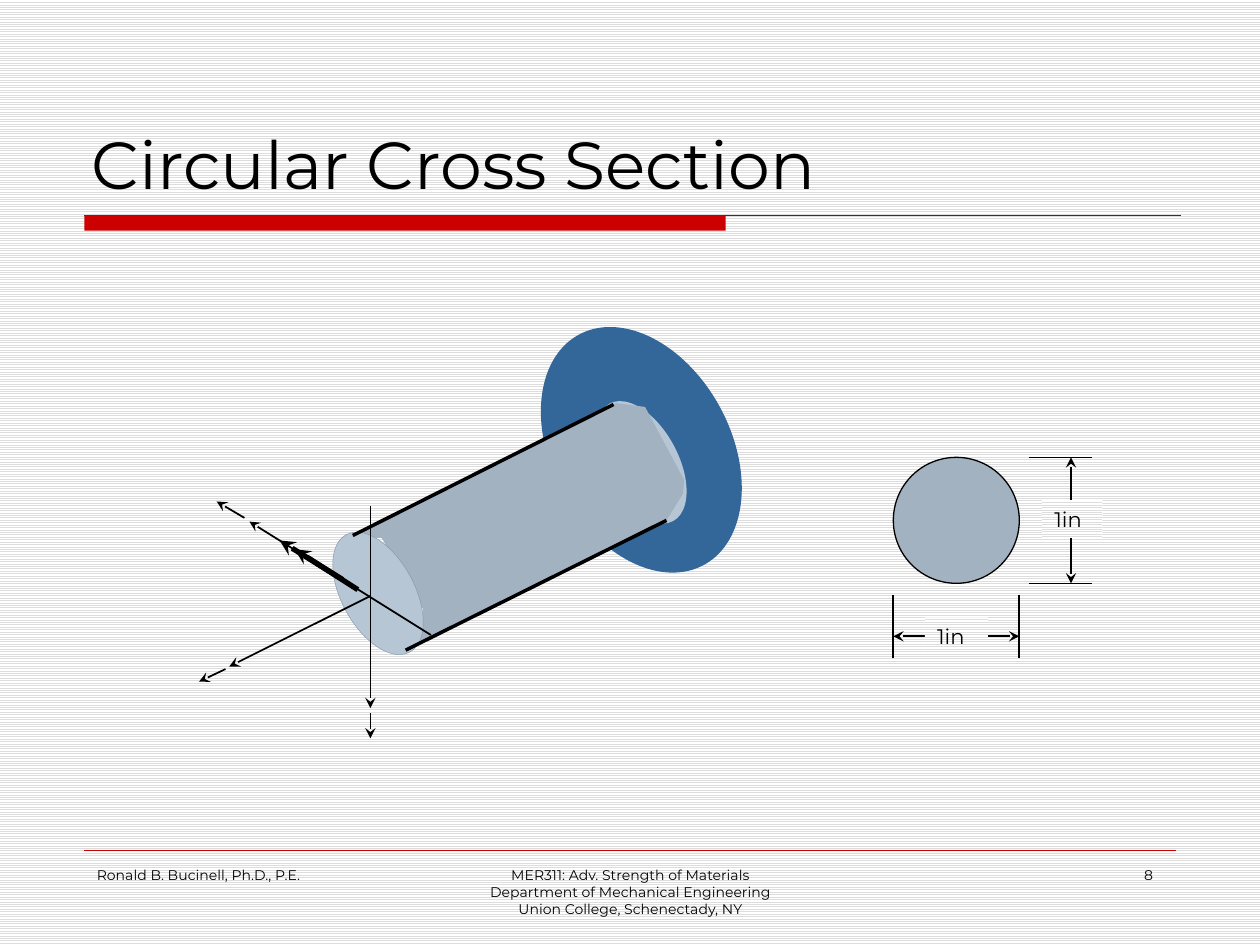
from lxml import etree
from pptx import Presentation
from pptx import util as u
from pptx.dml.color import RGBColor
from pptx.enum import dml, shapes, text
from pptx.oxml import ns

COLUMNS, ROWS = 100, 75
BLACK, RED, BLUE = "000000", "CC0000", "336699"
STEEL, LIGHT_STEEL, EDGE = "A3B2C1", "B7C6D5", "8296AA"
PAPER, STRIPE, RULE = "FFFFFF", "DDDDDD", "333333"


def color(value):
    return RGBColor.from_string(value)


class Drawing:
    """Style and current slide, measured in a grid of columns and rows."""

    font = "Montserrat"

    def __init__(self, presentation):
        self.column = presentation.slide_width / COLUMNS
        self.row = presentation.slide_height / ROWS
        self.slide = presentation.slides.add_slide(presentation.slide_layouts[6])
        self.stripe(self.slide.background.fill)

    def place(self, x, y):
        return u.Emu(round(x * self.column)), u.Emu(round(y * self.row))

    def stripe(self, fill):
        fill.patterned()
        fill.pattern = dml.MSO_PATTERN.LIGHT_HORIZONTAL
        fill.fore_color.rgb = color(STRIPE)
        fill.back_color.rgb = color(PAPER)

    def paint(self, shape, fill, line, width):
        shape.shadow.inherit = False
        if fill:
            shape.fill.solid()
            shape.fill.fore_color.rgb = color(fill)
        else:
            self.stripe(shape.fill)
        if line:
            shape.line.color.rgb = color(line)
            shape.line.width = u.Pt(width)
        else:
            shape.line.fill.background()

    def shape(self, kind, box, fill=None, line=None, width=0.75, rotation=0):
        shape = self.slide.shapes.add_shape(
            kind, *self.place(*box[:2]), *self.place(*box[2:]))
        shape.rotation = rotation
        self.paint(shape, fill, line, width)
        return shape

    def ellipse(self, center, size, fill, line=None, width=0.75, rotation=0):
        box = (center[0] - size[0] / 2, center[1] - size[1] / 2, *size)
        self.shape(shapes.MSO_SHAPE.OVAL, box, fill, line, width, rotation)

    def outline(self, points, fill):
        start, *others = [self.place(*point) for point in points]
        builder = self.slide.shapes.build_freeform(*start)
        builder.add_line_segments(others, close=True)
        self.paint(builder.convert_to_shape(), fill, None, 0)

    def line(self, start, end, width=1, stroke=BLACK, arrows=()):
        connector = self.slide.shapes.add_connector(
            shapes.MSO_CONNECTOR.STRAIGHT, *self.place(*start), *self.place(*end))
        connector.line.color.rgb = color(stroke)
        connector.line.width = u.Pt(width)
        properties = connector._element.spPr
        for end_name in arrows:
            etree.SubElement(properties.find(ns.qn("a:ln")),
                             ns.qn(f"a:{end_name}"), type="stealth")
        etree.SubElement(properties, ns.qn("a:effectLst"))

    def add_words(self, shape, lines, size, align, anchor, wrap=True):
        frame = shape.text_frame
        frame.word_wrap = wrap
        frame.vertical_anchor = anchor
        for index, words in enumerate(lines):
            paragraph = frame.add_paragraph() if index else frame.paragraphs[0]
            paragraph.alignment = align
            run = paragraph.add_run()
            run.text = words
            run.font.name = self.font
            run.font.size = u.Pt(size)
            run.font.color.rgb = color(BLACK)

    def text(self, box, lines, size, align=text.PP_ALIGN.LEFT,
             anchor=text.MSO_ANCHOR.TOP):
        shape = self.slide.shapes.add_textbox(
            *self.place(*box[:2]), *self.place(*box[2:]))
        self.add_words(shape, lines, size, align, anchor)

    def label(self, box, words, wrap):
        shape = self.shape(shapes.MSO_SHAPE.RECTANGLE, box)
        self.add_words(shape, [words], 12, text.PP_ALIGN.LEFT,
                       text.MSO_ANCHOR.TOP, wrap)


def draw_frame(drawing):
    drawing.line((6.7, 17.1), (93.7, 17.1), 0.75, RULE)
    drawing.shape(shapes.MSO_SHAPE.RECTANGLE, (6.7, 17.1, 50.9, 1.2), RED)
    drawing.line((6.7, 67.5), (93.3, 67.5), 0.25, RED)
    drawing.text((6.3, 3.3, 87.5, 13.3), ["Circular Cross Section"], 38,
                 anchor=text.MSO_ANCHOR.BOTTOM)
    footers = [
        (6.7, 20.8, text.PP_ALIGN.LEFT, ["Ronald B. Bucinell, Ph.D., P.E."]),
        (34.2, 31.7, text.PP_ALIGN.CENTER,
         ["MER311: Adv. Strength of Materials",
          "Department of Mechanical Engineering",
          "Union College, Schenectady, NY"]),
        (71.7, 20.8, text.PP_ALIGN.RIGHT, ["8"]),
    ]
    for left, width, align, lines in footers:
        drawing.text((left, 68.3, width, 5), lines, 8, align)


def draw_shaft(drawing):
    tilt, cap = 61.5, (10.6, 5.8)
    drawing.ellipse((50.9, 35.7), (20.8, 14.2), BLUE, rotation=tilt)
    drawing.ellipse((50.9, 36.7), cap, LIGHT_STEEL, rotation=tilt)
    drawing.outline(
        [(27.9, 42.6), (48.9, 32), (51.2, 32.3), (54.3, 38.1), (54.2, 39.2),
         (52.9, 41.3), (32.7, 51.4), (33.5, 49.5), (33.6, 48.4), (30.3, 42.7)],
        STEEL)
    drawing.ellipse((30, 47.1), cap, LIGHT_STEEL, EDGE, 0.25, tilt)
    for start, end in [((32.2, 51.6), (52.9, 41.3)), ((28, 42.5), (48.7, 32.1))]:
        drawing.line(start, end, 2)


def draw_axes(drawing):
    arrows = [
        ((29.4, 40.2), (29.4, 56.2), 1), ((29.4, 56.6), (29.4, 58.6), 1),
        ((34.2, 50.4), (19.8, 41.4), 1), ((19.4, 41.1), (17.2, 39.8), 1),
        ((29.4, 47.3), (18.2, 52.9), 1), ((17.9, 53.1), (15.8, 54.1), 1),
        ((27.2, 46), (22.2, 42.9), 3), ((28.4, 46.8), (23.4, 43.6), 3),
    ]
    for start, end, width in arrows:
        drawing.line(start, end, width, arrows=["tailEnd"])


def draw_section(drawing):
    left, top, size = 70.9, 36.3, 10
    right, bottom = left + size, top + size
    both = ["headEnd", "tailEnd"]
    drawing.ellipse((left + size / 2, top + size / 2), (size, size), STEEL, BLACK)
    for y in (top, bottom):
        drawing.line((81.7, y), (86.7, y))
    for x in (left, right):
        drawing.line((x, 47.2), (x, 52.2))
    drawing.line((85, top), (85, bottom), arrows=both)
    drawing.line((left, 50.5), (right, 50.5), arrows=both)
    drawing.label((82.7, 39.7, 4.8, 3), "1in", False)
    drawing.label((73.4, 49, 5, 3), "1in", True)


def main():
    presentation = Presentation()
    presentation.slide_width, presentation.slide_height = u.Inches(10), u.Inches(7.5)
    drawing = Drawing(presentation)
    for draw in (draw_frame, draw_shaft, draw_axes, draw_section):
        draw(drawing)
    presentation.save("out.pptx")


if __name__ == "__main__":
    main()
